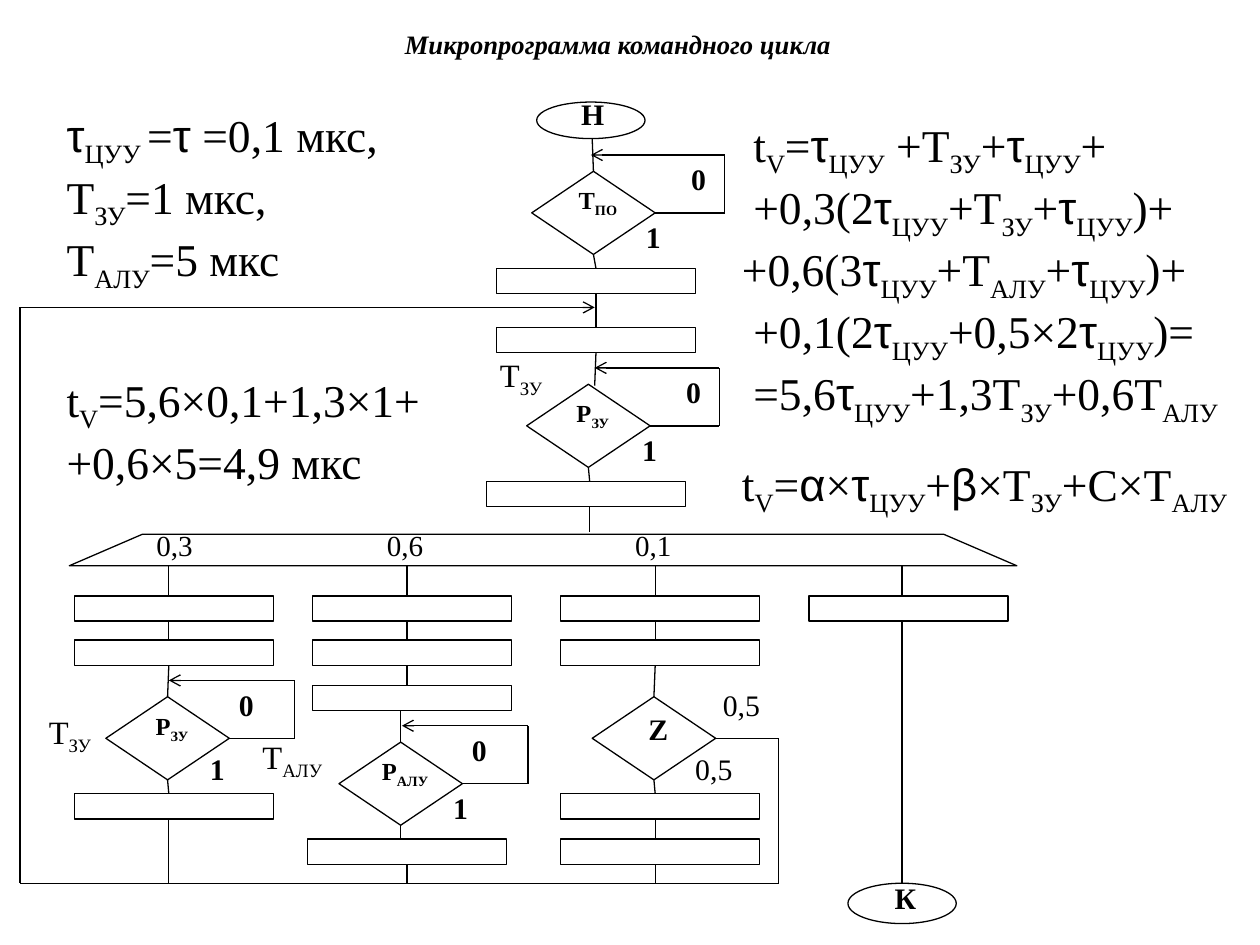
"""Build the slide with the command cycle microprogram flowchart."""
import itertools

import pptx
import pptx.dml.color
import pptx.enum.shapes
import pptx.enum.text
import pptx.oxml.xmlchemy
import pptx.util
from pptx.util import Inches

SHAPE = pptx.enum.shapes.MSO_SHAPE
ALIGN = pptx.enum.text.PP_ALIGN
ANCHOR = pptx.enum.text.MSO_ANCHOR
INK = "000000"
SERIF, GREEK = "Times New Roman", "Arial"
BOX_W, BOX_H = 1.58, 0.2
RHOMB_W, RHOMB_H = 0.98, 0.66
BACK_X, BUS_Y = 0.16, 7.01

TITLE = "Микропрограмма командного цикла"
FORMULAS = [
    (5.79, 0.88, 4.21, 3.29, [
        " t{V}=τ{ЦУУ} +T{ЗУ}+τ{ЦУУ}+\n +0,3(2τ{ЦУУ}+T{ЗУ}+τ{ЦУУ})+ "
        "+0,6(3τ{ЦУУ}+T{АЛУ}+τ{ЦУУ})+\n +0,1(2τ{ЦУУ}+0,5×2τ{ЦУУ})=\n"
        " =5,6τ{ЦУУ}+1,3T{ЗУ}+0,6T{АЛУ}",
        "t{V}=α×τ{ЦУУ}+β×T{ЗУ}+С×T{АЛУ}"]),
    (0.43, 0.8, 2.84, 1.58, ["τ{ЦУУ }=τ =0,1 мкс, T{ЗУ}=1 мкс,\nT{АЛУ}=5 мкс"]),
    (0.43, 2.9, 4.25, 1.03, ["t{V}=5,6×0,1+1,3×1+\n+0,6×5=4,9 мкс"]),
]
ENDS = [(4.26, 0.81, 0.29, "Н", 4.13, 0.71), (6.73, BUS_Y, 0.32, "К", 6.61, 6.93)]
BOXES = [
    (3.94, [2.13, 2.6]),
    (3.86, [3.82]),
    (0.59, [4.73, 5.08, 6.3]),
    (2.48, [4.73, 5.08, 5.44]),
    (2.44, [6.66]),
    (4.45, [4.73, 5.08, 6.3, 6.66]),
    (6.42, [4.73]),
]
WAITS = [
    (4.22, 1.36, "Т{ПО}", 4.69, 5.75, 5.14, 4.84, 1.69),
    (4.18, 3.05, "Р{ЗУ}", 4.72, 5.71, 5.1, 4.81, 3.38),
    (0.84, 5.53, "Р{ЗУ}", 1.34, 2.34, 1.55, 1.38, 5.91),
    (2.69, 5.89, "Р{АЛУ}", 3.19, 4.19, 3.4, 3.31, 6.22),
]
Z_LEFT, Z_TOP, Z_LOOP = 4.7, 5.53, 6.18
VERTICALS = [
    (BACK_X, [(2.44, BUS_Y)]),
    (4.7, [(1.1, 1.36)]),
    (4.72, [(2.02, 2.13), (2.33, 2.6), (2.8, 3.06)]),
    (4.68, [(3.71, 3.82), (4.02, 4.22)]),
    (1.34, [(4.49, 4.73), (4.93, 5.08), (5.28, 5.53), (6.19, 6.3), (6.5, BUS_Y)]),
    (3.23, [(4.49, 4.73), (4.93, 5.08), (5.28, 5.44), (6.86, BUS_Y)]),
    (3.18, [(5.64, 5.89), (6.55, 6.66)]),
    (5.2, [(4.49, 4.73), (4.93, 5.08), (5.28, 5.53), (6.19, 6.3), (6.5, 6.66),
           (6.86, BUS_Y)]),
    (7.16, [(4.49, 4.73), (4.93, BUS_Y)]),
]
SWITCH = [(0.55, 4.49), (1.13, 4.24), (7.49, 4.24), (8.07, 4.49)]
LABELS = [
    (0.98, 4.14, 0.81, 0.4, "0,3", 16.6),
    (2.81, 4.14, 0.81, 0.4, "0,6", 16.6),
    (4.78, 4.14, 0.81, 0.4, "0,1", 16.6),
    (5.55, 5.4, 0.67, 0.4, "0,5", 17),
    (5.32, 5.91, 0.69, 0.4, "0,5", 17),
    (3.74, 2.77, 0.79, 0.47, "Т{ЗУ}", 18.6),
    (0.16, 5.6, 0.79, 0.47, "Т{ЗУ}", 18.6),
    (1.85, 5.8, 0.94, 0.47, "Т{АЛУ}", 18.6),
]

prs = pptx.Presentation()
prs.slide_width, prs.slide_height = Inches(10), Inches(7.5)
s = prs.slides.add_slide(prs.slide_layouts[5])
sites = []


def color(value):
    return pptx.dml.color.RGBColor.from_string(value)


def add_run(p, text, size, font=SERIF, bold=False, italic=False, sub=False):
    r = p.add_run()
    r.text = text
    r.font.size, r.font.name = pptx.util.Pt(size), font
    r.font.bold, r.font.italic = bold, italic
    r.font.color.rgb = color(INK)
    if sub:
        r.font._element.set("baseline", "-25000")


def fill_paragraph(p, text, size, bold=False):
    for i, part in enumerate(text.replace("}", "{").split("{")):
        for j, line in enumerate(part.split("\n")):
            if j:
                p.add_line_break()
            for greek, letters in itertools.groupby(line, lambda c: c in "ταβ"):
                add_run(p, "".join(letters), size, GREEK if greek else SERIF,
                        bold, sub=i % 2 == 1)


def add_text(x, y, w, h, paragraphs, size, bold=False, align=ALIGN.CENTER):
    tf = s.shapes.add_textbox(Inches(x), Inches(y), Inches(w), Inches(h)).text_frame
    tf.word_wrap = True
    for i, text in enumerate(paragraphs):
        p = tf.add_paragraph() if i else tf.paragraphs[0]
        p.alignment = align
        if i:
            p.space_before = pptx.util.Pt(16.2)
        fill_paragraph(p, text, size, bold)
    return tf


def outline(sp):
    sp.shadow.inherit = False
    sp.fill.background()
    sp.line.color.rgb = color(INK)
    sp.line.width = pptx.util.Pt(0.75)


def add_block(kind, x, y, w, h):
    sp = s.shapes.add_shape(kind, Inches(x), Inches(y), Inches(w), Inches(h))
    outline(sp)
    if kind != SHAPE.OVAL:
        middles = [(x + w / 2, y), (x, y + h / 2), (x + w / 2, y + h), (x + w, y + h / 2)]
        sites.extend((mx, my, sp, i) for i, (mx, my) in enumerate(middles))


def add_line(x1, y1, x2, y2, arrow=False):
    sp = s.shapes.add_connector(pptx.enum.shapes.MSO_CONNECTOR.STRAIGHT,
                                Inches(x1), Inches(y1), Inches(x2), Inches(y2))
    sp.line.color.rgb = color(INK)
    sp.line.width = pptx.util.Pt(0.75)
    if arrow:
        tail = pptx.oxml.xmlchemy.OxmlElement("a:tailEnd")
        tail.set("type", "arrow")
        sp.line._get_or_add_ln().append(tail)
    sp._element.spPr.append(pptx.oxml.xmlchemy.OxmlElement("a:effectLst"))
    for x, y, join in ((x1, y1, sp.begin_connect), (x2, y2, sp.end_connect)):
        for mx, my, block, i in sites:
            if abs(mx - x) < 0.02 and abs(my - y) < 0.02:
                join(block, i)


title = s.shapes.title
title.left, title.top, title.width, title.height = map(Inches, (0.2, 0.17, 9.41, 0.35))
title.text_frame.vertical_anchor = ANCHOR.MIDDLE
title.text_frame.paragraphs[0].alignment = ALIGN.CENTER
add_run(title.text_frame.paragraphs[0], TITLE, 15.2, bold=True, italic=True)

for x, y, h, name, tx, ty in ENDS:
    add_block(SHAPE.OVAL, x, y, 0.86, h)
    add_text(tx, ty, 1.15, 0.4, [name], 17, True)
for x, tops in BOXES:
    for y in tops:
        add_block(SHAPE.RECTANGLE, x, y, BOX_W, BOX_H)

for x, y, name, arrow_x, right, zero_x, one_x, one_y in WAITS:
    add_block(SHAPE.DIAMOND, x, y, RHOMB_W, RHOMB_H)
    add_text(x - 0.05, y + 0.06, 1.15, 0.4, [name], 14, True)
    add_text(zero_x, y - 0.13, 0.81, 0.4, ["0"], 17, True)
    add_text(one_x, one_y, 0.69, 0.4, ["1"], 17, True)
    middle, top = y + RHOMB_H / 2, y - 0.13
    add_line(x + RHOMB_W, middle, right, middle)
    add_line(right, middle, right, top)
    add_line(right, top, arrow_x, top, True)

add_block(SHAPE.DIAMOND, Z_LEFT, Z_TOP, RHOMB_W, RHOMB_H)
add_text(Z_LEFT - 0.05, Z_TOP + 0.06, 1.15, 0.4, ["Z"], 17, True)
z_middle = Z_TOP + RHOMB_H / 2
add_line(Z_LEFT + RHOMB_W, z_middle, Z_LOOP, z_middle)
add_line(Z_LOOP, z_middle, Z_LOOP, BUS_Y)
add_line(BACK_X, BUS_Y, Z_LOOP, BUS_Y)
add_line(BACK_X, 2.44, 4.72, 2.44, True)
for x, spans in VERTICALS:
    for y1, y2 in spans:
        add_line(x, y1, x, y2)

points = [(Inches(x), Inches(y)) for x, y in SWITCH]
builder = s.shapes.build_freeform(*points[0])
builder.add_line_segments(points[1:], close=True)
outline(builder.convert_to_shape())

for x, y, w, h, text, size in LABELS:
    add_text(x, y, w, h, [text], size)
for x, y, w, h, paragraphs in FORMULAS:
    tf = add_text(x, y, w, h, paragraphs, 26, align=ALIGN.LEFT)
    tf.auto_size = pptx.enum.text.MSO_AUTO_SIZE.SHAPE_TO_FIT_TEXT

prs.save("out.pptx")
